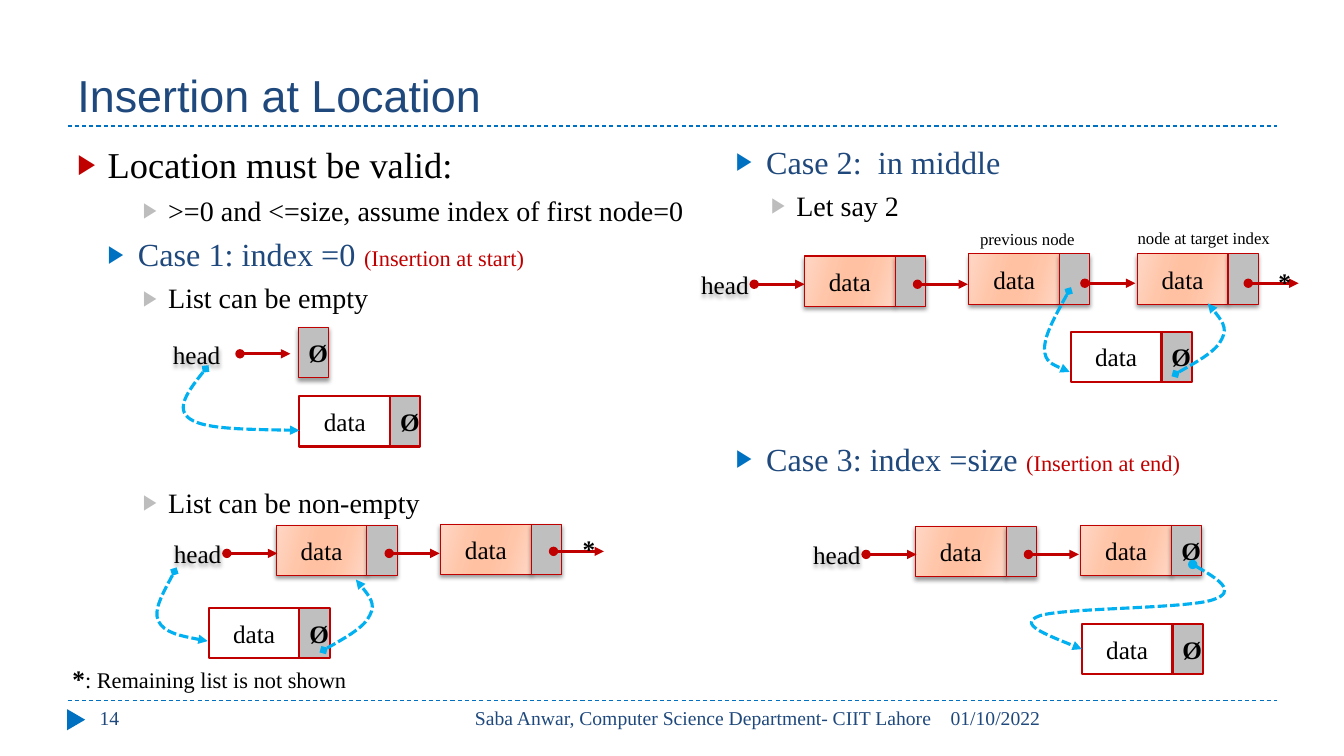
from dataclasses import dataclass

from lxml import etree
from pptx import Presentation
from pptx import util as u
from pptx.dml.color import RGBColor
from pptx.enum import dml, shapes, text
from pptx.oxml.ns import qn

PX = 9144


@dataclass(frozen=True)
class Theme:
    sans: str = "Arial"
    serif: str = "Times New Roman"
    navy: str = "1F497D"
    blue: str = "0070C0"
    sky: str = "00B0F0"
    red: str = "C00000"
    black: str = "000000"
    white: str = "FFFFFF"
    cell: str = "BFBFBF"
    pale: str = "BDBDBD"
    peach: tuple = ((0, "FFD7C5"), (30, "FFC6AA"), (45, "FFC1A1"),
                    (55, "FFC1A1"), (73, "FFC6AA"), (100, "FFD7C5"))
    title: int = 32
    lead: int = 26
    case: int = 23
    item: int = 20
    label: int = 18
    aside: int = 16
    footer: int = 14
    caption: int = 12


THEME = Theme()
DATA_W, LINK_W, NODE_H, ARROW_W = 90, 30, 50, 50
LEVELS = {
    "lead": (30, 30, THEME.red, THEME.lead, THEME.black),
    "case": (60, 30, THEME.blue, THEME.case, THEME.navy),
    "item": (90, 25, THEME.pale, THEME.item, THEME.black),
}


def rgb(value):
    return RGBColor.from_string(value)


def add_run(paragraph, wording, *, size=THEME.label, color=THEME.black,
            font=THEME.serif, bold=False):
    run = paragraph.add_run()
    run.text = wording
    run.font.size = u.Pt(size)
    run.font.color.rgb = rgb(color)
    run.font.name = font
    run.font.bold = bold


def sub(parent, tag, **attributes):
    return etree.SubElement(parent, qn(tag), {k: str(v) for k, v in attributes.items()})


class SlideBuilder:
    def __init__(self, slide, theme):
        self.slide = slide
        self.theme = theme

    def box(self, x, y, w, h, anchor=text.MSO_ANCHOR.TOP):
        box = self.slide.shapes.add_textbox(x * PX, y * PX, w * PX, h * PX)
        box.text_frame.word_wrap = True
        box.text_frame.vertical_anchor = anchor
        return box

    def label(self, wording, x, y, w, h, align=text.PP_ALIGN.LEFT,
              anchor=text.MSO_ANCHOR.TOP, **style):
        label = self.box(x, y, w, h, anchor)
        paragraph = label.text_frame.paragraphs[0]
        paragraph.alignment = align
        add_run(paragraph, wording, **style)
        return label

    def centred(self, wording, x, y, w, h, **style):
        return self.label(wording, x, y, w, h, text.PP_ALIGN.CENTER,
                          text.MSO_ANCHOR.MIDDLE, **style)

    def outline(self, x, y, w, h, entries):
        frame = self.box(x, y, w, h).text_frame
        for i, (level, wording, aside, before) in enumerate(entries):
            margin, hang, bullet, size, color = LEVELS[level]
            paragraph = frame.add_paragraph() if i else frame.paragraphs[0]
            if i:
                paragraph.space_before = u.Pt(before)
            properties = paragraph._p.get_or_add_pPr()
            properties.set("marL", str(margin * PX))
            properties.set("indent", str(-hang * PX))
            sub(sub(properties, "a:buClr"), "a:srgbClr", val=bullet)
            sub(properties, "a:buSzPct", val=76000)
            sub(properties, "a:buFont", typeface=self.theme.sans)
            sub(properties, "a:buChar", char="▶")
            add_run(paragraph, wording, size=size, color=color)
            if aside:
                add_run(paragraph, aside, size=self.theme.aside, color=self.theme.red)

    def cast_shadow(self, shape):
        shape.shadow.inherit = False
        effects = shape._element.spPr.find(qn("a:effectLst"))
        shadow = sub(effects, "a:outerShdw", blurRad=u.Pt(3), dist=u.Pt(2),
                     dir=90 * 60000, rotWithShape=0)
        sub(sub(shadow, "a:srgbClr", val=self.theme.black), "a:alpha", val=40000)

    def cell(self, x, y, w, fill, wording="", listed=True, bold=False):
        cell = self.slide.shapes.add_shape(
            shapes.MSO_SHAPE.RECTANGLE, x * PX, y * PX, w * PX, NODE_H * PX)
        cell.shadow.inherit = False
        if fill == self.theme.peach:
            cell.fill.gradient()
            cell.fill.gradient_angle = 344
            stops = cell._element.spPr.find(qn("a:gradFill")).find(qn("a:gsLst"))
            for stop in list(stops):
                stops.remove(stop)
            for position, color in fill:
                sub(sub(stops, "a:gs", pos=position * 1000), "a:srgbClr", val=color)
        else:
            cell.fill.solid()
            cell.fill.fore_color.rgb = rgb(fill)
        cell.line.color.rgb = rgb(self.theme.red)
        cell.line.width = u.Pt(0.75 if listed else 1.5)
        if listed:
            self.cast_shadow(cell)
        if wording:
            cell.text_frame.vertical_anchor = text.MSO_ANCHOR.MIDDLE
            paragraph = cell.text_frame.paragraphs[0]
            paragraph.alignment = text.PP_ALIGN.CENTER
            add_run(paragraph, wording, bold=bold)

    def link(self, x, y, wording="", listed=True):
        self.cell(x, y, LINK_W, self.theme.cell, wording, listed, bold=True)

    def node(self, x, y, link="", listed=True):
        fill = self.theme.peach if listed else self.theme.white
        self.cell(x, y, DATA_W, fill, "data", listed)
        self.link(x + DATA_W, y, link, listed)

    def head(self, x, y):
        self.cast_shadow(self.centred("head", x, y, 70, 30))

    def stroke(self, shape, color, width, dash=None, start=None):
        shape.line.color.rgb = rgb(color)
        shape.line.width = u.Pt(width)
        if dash:
            shape.line.dash_style = dash
        if start:
            line = shape._element.spPr.find(qn("a:ln"))
            sub(line, "a:headEnd", type=start)
            sub(line, "a:tailEnd", type="triangle")

    def line(self, x, y, w, color, width, **style):
        line = self.slide.shapes.add_connector(
            shapes.MSO_CONNECTOR.STRAIGHT, x * PX, y * PX, (x + w) * PX, y * PX)
        self.stroke(line, color, width, **style)
        sub(line._element.spPr, "a:effectLst")

    def arrow(self, x, y):
        self.line(x, y, ARROW_W, self.theme.red, 2.25, start="oval")

    def rule(self, y):
        self.line(67, y, 1200, self.theme.blue, 0.75, dash=dml.MSO_LINE.DASH)

    def curve(self, start, *points, tip="diamond"):
        builder = self.slide.shapes.build_freeform(*start, scale=PX)
        builder.add_line_segments(points, close=False)
        curve = builder.convert_to_shape()
        steps = list(curve._element.iter(qn("a:lnTo")))
        for i in range(0, len(steps), 3):
            bend = sub(steps[i].getparent(), "a:cubicBezTo")
            for step in steps[i:i + 3]:
                bend.append(step[0])
                step.getparent().remove(step)
        curve.fill.background()
        curve.shadow.inherit = False
        self.stroke(curve, self.theme.sky, 2.25, dml.MSO_LINE.SQUARE_DOT, tip)

    def marker(self, x, y, w, h):
        marker = self.slide.shapes.add_shape(
            shapes.MSO_SHAPE.ISOSCELES_TRIANGLE, x * PX, y * PX, w * PX, h * PX)
        marker.rotation = 90
        marker.fill.solid()
        marker.fill.fore_color.rgb = rgb(self.theme.blue)
        marker.line.fill.background()
        marker.shadow.inherit = False


def main():
    deck = Presentation()
    deck.slide_width, deck.slide_height = 1333 * PX, 750 * PX
    s = SlideBuilder(deck.slides.add_slide(deck.slide_layouts[6]), THEME)

    s.rule(695)
    s.rule(125)
    s.marker(65, 705, 21, 18)
    s.label("Insertion at Location", 67, 17, 1200, 108, anchor=text.MSO_ANCHOR.BOTTOM,
            size=THEME.title, color=THEME.navy, font=THEME.sans)
    footer = dict(size=THEME.footer, color=THEME.navy)
    s.label("14", 89, 695, 289, 40, **footer)
    s.label("Saba Anwar, Computer Science Department- CIIT Lahore", 423, 695, 511, 40,
            text.PP_ALIGN.RIGHT, **footer)
    s.label("01/10/2022", 933, 695, 334, 40, **footer)

    s.outline(67, 136, 623, 537, [
        ("lead", "Location must be valid:", "", 0),
        ("item", ">=0 and <=size, assume index of first node=0", "", 5.5),
        ("case", "Case 1: index =0 ", "(Insertion at start)", 5.5),
        ("item", "List can be empty", "", 5.5),
        ("item", "List can be non-empty", "", 122),
    ])
    s.outline(690, 136, 576, 537, [
        ("case", "Case 2:  in middle", "", 0),
        ("item", "Let say 2", "", 5.5),
        ("case", "Case 3: index =size ", "(Insertion at end)", 155),
    ])

    for x, y in ((160, 337), (684, 267), (161, 534), (795, 535)):
        s.head(x, y)
    s.link(296, 325, "Ø")
    for x, y, end in ((798, 254, ""), (961, 252, ""), (1128, 252, ""), (274, 521, ""),
                      (437, 520, ""), (908, 522, ""), (1072, 521, "Ø")):
        s.node(x, y, end)
    for x, y in ((297, 393), (1062, 329), (207, 603), (1073, 619)):
        s.node(x, y, "Ø", listed=False)
    for x, y in ((238, 351), (748, 282), (910, 282), (1076, 281), (1238, 281),
                 (225, 549), (386, 549), (549, 547), (859, 550), (1020, 550)):
        s.arrow(x, y)

    s.curve((204, 366), (188, 386), (173, 406), (189, 416),
            (204, 426), (251, 426), (297, 427))
    s.curve((173, 567), (163, 586), (152, 605), (157, 616),
            (163, 628), (185, 632), (206, 636))
    s.curve((1060, 289), (1048, 311), (1036, 332), (1036, 346),
            (1036, 359), (1049, 364), (1061, 369))
    for dx, dy in ((0, 0), (845, -274)):
        rise = ((321, 645), (342, 633), (362, 622), (367, 610),
                (373, 599), (363, 587), (353, 575))
        s.curve(*((x + dx, y + dy) for x, y in rise))
    s.curve((1183, 560), (1206, 573), (1228, 587), (1203, 595),
            (1178, 604), (1053, 603), (1031, 611),
            (1009, 619), (1041, 631), (1073, 644), tip="oval")

    s.centred("previous node", 949, 221, 140, 31, size=THEME.caption)
    s.centred("node at target index", 1114, 220, 160, 31, size=THEME.caption)
    for x, y in ((1258, 259), (568, 524)):
        s.label("*", x, y, 33, 40, bold=True)
    note = s.label("*", 62, 653, 296, 40, bold=True)
    add_run(note.text_frame.paragraphs[0], ": Remaining list is not shown", size=THEME.aside)

    deck.save("out.pptx")


if __name__ == "__main__":
    main()
